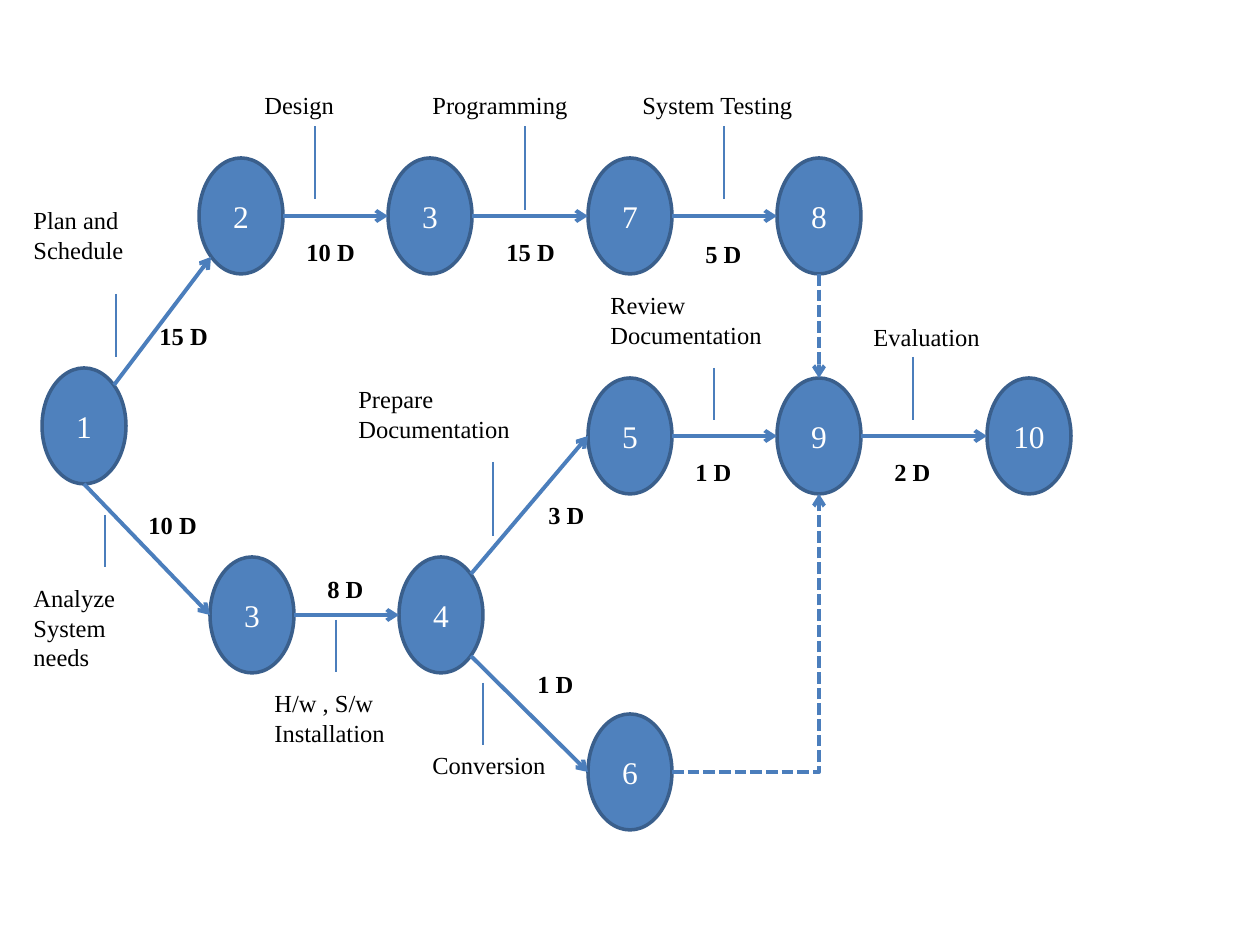
from math import cos, radians, sin

from pptx import Presentation
from pptx.dml.color import RGBColor
from pptx.enum.dml import MSO_LINE
from pptx.enum.shapes import MSO_CONNECTOR as Link, MSO_SHAPE
from pptx.enum.text import MSO_ANCHOR, MSO_AUTO_SIZE, PP_ALIGN
from pptx.oxml.ns import qn
from pptx.util import Pt
from lxml.etree import SubElement

PX = 914400 / 126
FONT = "Times New Roman"
WHITE = RGBColor(0xFF, 0xFF, 0xFF)
BLACK = RGBColor(0x00, 0x00, 0x00)
NODE_FILL = RGBColor(0x4F, 0x81, 0xBD)
NODE_LINE = RGBColor(0x3A, 0x5F, 0x8C)
LINK_LINE = RGBColor(0x4B, 0x7E, 0xBC)
NODE_W, NODE_H = 84, 116
LINE_H = 43
EAST, NORTHEAST, NORTH, WEST = 0, 45, 90, 180
SOUTHWEST, SOUTH, SOUTHEAST = 225, 270, 315

TOP, MIDDLE, BOTTOM = 158, 378, 557
NODES = {
    "start": ("1", 42, 368),
    "planned": ("2", 199, TOP),
    "designed": ("3", 388, TOP),
    "programmed": ("7", 588, TOP),
    "tested": ("8", 777, TOP),
    "analyzed": ("3", 210, BOTTOM),
    "installed": ("4", 399, BOTTOM),
    "documented": ("5", 588, MIDDLE),
    "converted": ("6", 588, 714),
    "reviewed": ("9", 777, MIDDLE),
    "evaluated": ("10", 987, MIDDLE),
}
ARROWS = [
    ("start", NORTHEAST, "planned", SOUTHWEST),
    ("start", SOUTH, "analyzed", WEST),
    ("planned", EAST, "designed", WEST),
    ("designed", EAST, "programmed", WEST),
    ("programmed", EAST, "tested", WEST),
    ("analyzed", EAST, "installed", WEST),
    ("installed", NORTHEAST, "documented", WEST),
    ("installed", SOUTHEAST, "converted", WEST),
    ("documented", EAST, "reviewed", WEST),
    ("reviewed", EAST, "evaluated", WEST),
]
ACTIVITIES = [
    ("Plan and Schedule", 21, 199, 158, 72, 116, 294, 357),
    ("Design", 252, 84, 158, LINE_H, 315, 126, 199),
    ("Programming", 420, 84, 210, LINE_H, 525, 126, 210),
    ("System Testing", 630, 84, 242, LINE_H, 724, 126, 199),
    ("Analyze System needs", 21, 577, 158, 102, 105, 515, 567),
    ("H/w , S/w\nInstallation", 262, 682, 200, 72, 336, 620, 672),
    ("Conversion", 420, 744, 179, LINE_H, 483, 683, 745),
    ("Prepare Documentation", 346, 378, 242, 72, 493, 462, 536),
    ("Review Documentation", 598, 284, 252, 72, 714, 368, 420),
    ("Evaluation", 861, 316, 168, LINE_H, 913, 357, 420),
]
DURATIONS = [
    ("15 D", 147, 315, 84),
    ("10 D", 136, 504, 84),
    ("10 D", 294, 231, 94),
    ("15 D", 494, 231, 84),
    ("8 D", 315, 568, 63),
    ("3 D", 536, 494, 63),
    ("1 D", 525, 663, 63),
    ("1 D", 683, 451, 63),
    ("5 D", 693, 233, 63),
    ("2 D", 882, 451, 63),
]


def emu(*lengths):
    return [round(length * PX) for length in lengths]


def style_font(para, size, color, bold=False):
    font = para.font
    font.name, font.size, font.bold = FONT, Pt(size), bold
    font.color.rgb = color


def add_node(page, number, left, top):
    node = page.shapes.add_shape(MSO_SHAPE.OVAL, *emu(left, top, NODE_W, NODE_H))
    node.shadow.inherit = False
    node.fill.solid()
    node.fill.fore_color.rgb = NODE_FILL
    node.line.color.rgb = NODE_LINE
    node.line.width = Pt(2)
    frame = node.text_frame
    frame.text = number
    frame.vertical_anchor = MSO_ANCHOR.MIDDLE
    para = frame.paragraphs[0]
    para.alignment = PP_ALIGN.CENTER
    style_font(para, 18, WHITE)


def node_edge(name, angle):
    _, left, top = NODES[name]
    turn = radians(angle)
    return (round(left + NODE_W / 2 * (1 + cos(turn))),
            round(top + NODE_H / 2 * (1 - sin(turn))))


def add_line(page, start, end, width, kind=Link.STRAIGHT):
    line = page.shapes.add_connector(kind, *emu(*start, *end))
    line.line.color.rgb = LINK_LINE
    line.line.width = Pt(width)
    SubElement(line._element.spPr, qn("a:effectLst"))
    return line


def add_arrow(page, source, exit_angle, target, entry_angle,
              kind=Link.STRAIGHT, dashed=False):
    arrow = add_line(page, node_edge(source, exit_angle),
                     node_edge(target, entry_angle), 2.25, kind)
    if dashed:
        arrow.line.dash_style = MSO_LINE.SQUARE_DOT
    outline = arrow._element.spPr.find(qn("a:ln"))
    SubElement(outline, qn("a:tailEnd"), type="arrow")
    return arrow


def add_label(page, text, left, top, width, height=LINE_H, bold=False):
    box = page.shapes.add_textbox(*emu(left, top, width, height))
    frame = box.text_frame
    frame.word_wrap = True
    frame.auto_size = MSO_AUTO_SIZE.SHAPE_TO_FIT_TEXT
    frame.text = text
    for para in frame.paragraphs:
        style_font(para, 14, BLACK, bold)


def main():
    deck = Presentation()
    deck.slide_width, deck.slide_height = emu(1260, 945)
    page = deck.slides.add_slide(deck.slide_layouts[6])

    for node in NODES.values():
        add_node(page, *node)
    for arrow in ARROWS:
        add_arrow(page, *arrow)
    add_arrow(page, "tested", SOUTH, "reviewed", NORTH, dashed=True)
    corner = add_arrow(page, "converted", EAST, "reviewed", SOUTH,
                       Link.ELBOW, dashed=True)
    corner._element.spPr.find(qn("a:prstGeom")).set("prst", "bentConnector2")

    for text, left, top, width, height, x, y_start, y_end in ACTIVITIES:
        add_label(page, text, left, top, width, height)
        add_line(page, (x, y_start), (x, y_end), 0.75)
    for duration in DURATIONS:
        add_label(page, *duration, bold=True)

    deck.save("out.pptx")


if __name__ == "__main__":
    main()
